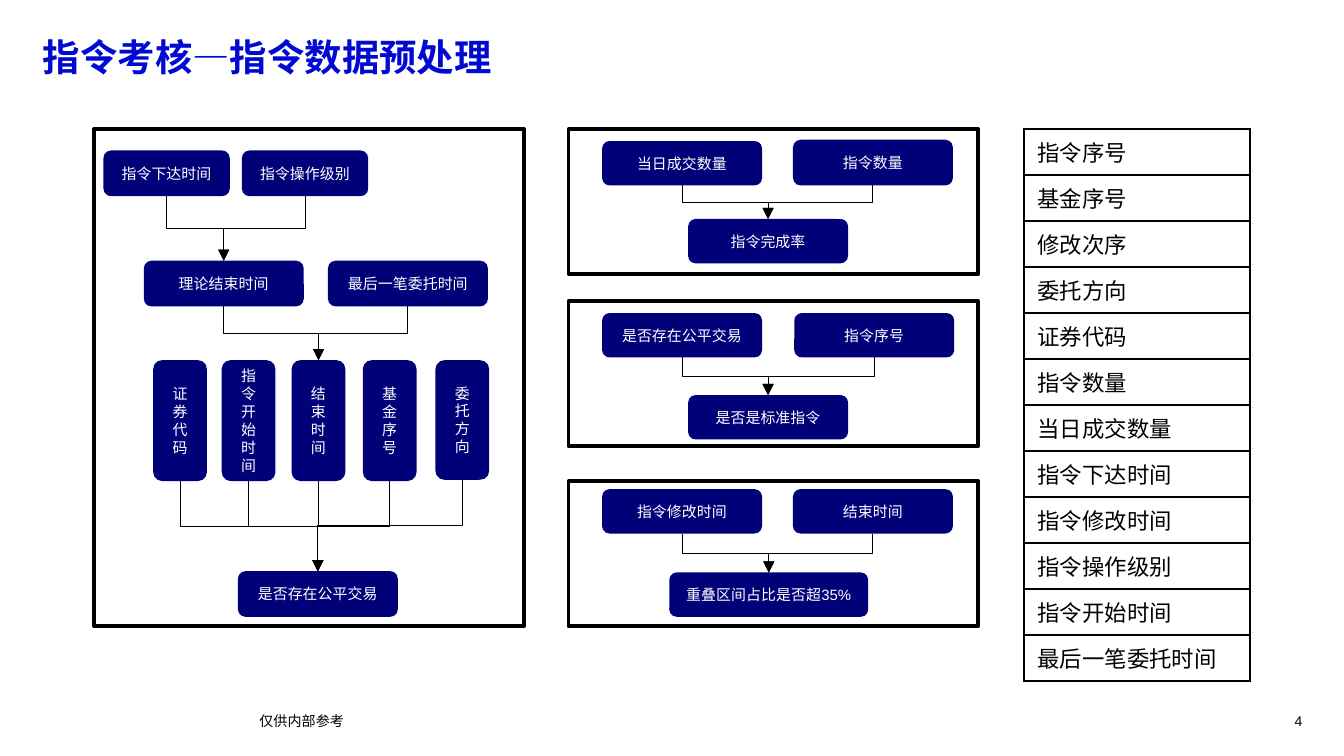
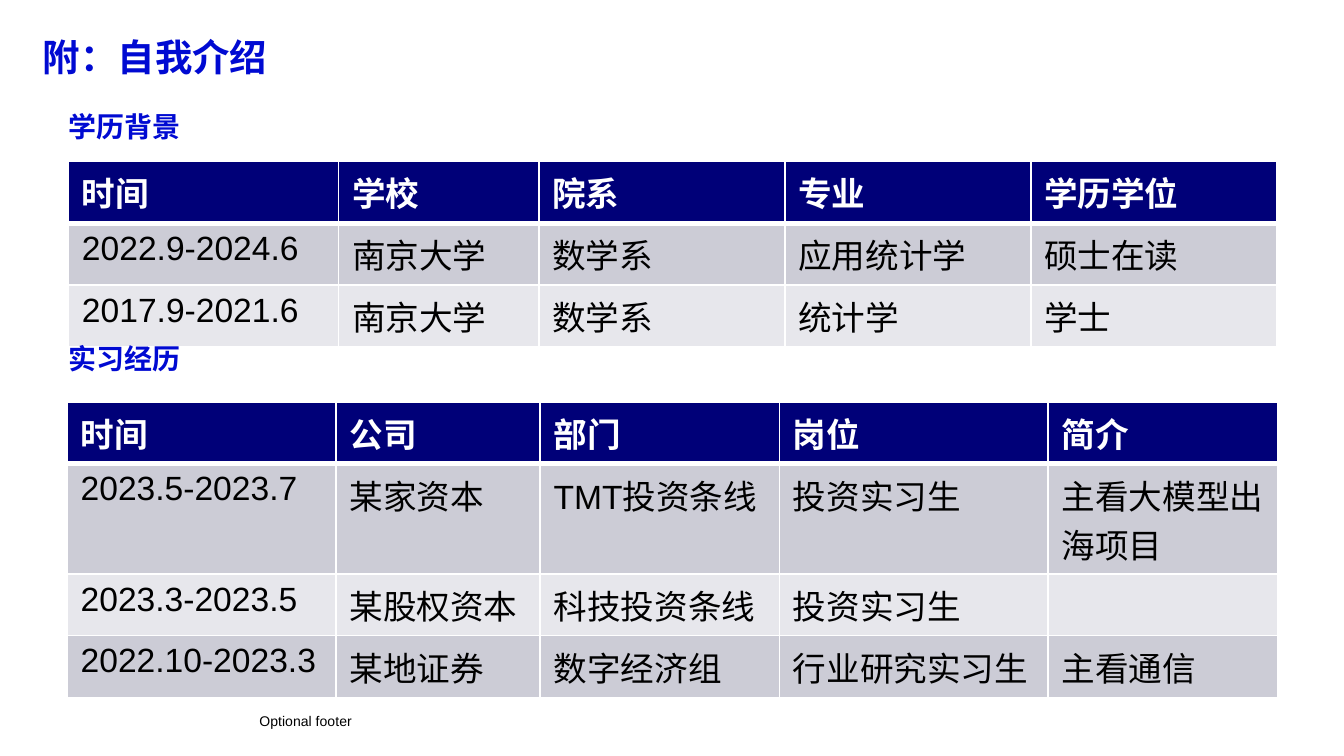
"""Build two slides: the order data preprocessing flows and a self introduction."""
from dataclasses import dataclass

from lxml import etree
from pptx import Presentation
from pptx import util as u
from pptx.dml.color import RGBColor
from pptx.enum import shapes, text
from pptx.oxml import ns


@dataclass(frozen=True)
class Theme:
    font: str = "Arial"
    black: str = "000000"
    white: str = "FFFFFF"
    blue: str = "000AD2"
    navy: str = "000078"
    bands: tuple = ("CCCCD6", "E7E7EC")
    title: float = 20
    heading: float = 15
    body: float = 18
    field: float = 12
    node: float = 8
    footer: float = 7.5


theme = Theme()


def write(frame, words, size, color, bold=False, **layout):
    """Put words in a frame; layout holds paragraph attributes."""
    frame.word_wrap = True
    paragraph = frame.paragraphs[0]
    for key, value in layout.items():
        setattr(paragraph, key, value)
    if words:
        run = paragraph.add_run()
        run.text = words
        look = {"name": theme.font, "size": u.Pt(size), "bold": bold}
        for key, value in look.items():
            setattr(run.font, key, value)
        run.font.color.rgb = RGBColor.from_string(color)


def add_grid(slide, left, top, widths, heights, rows, size, edge, header):
    """Add a bordered table; a header brings a navy first row and bands."""
    grid = slide.shapes.add_table(
        len(rows), len(widths), u.Inches(left), u.Inches(top),
        u.Inches(sum(widths)), u.Inches(sum(heights))).table
    grid.first_row = header
    grid.horz_banding = header
    for column, width in zip(grid.columns, widths):
        column.width = u.Inches(width)
    for r, row in enumerate(rows):
        grid.rows[r].height = u.Inches(heights[r])
        is_head = header and r == 0
        thick = {"lnB": header and r == 0, "lnT": header and r == 1}
        for c, words in enumerate(row):
            cell = grid.cell(r, c)
            write(cell.text_frame, words, size,
                  theme.white if is_head else theme.black, is_head)
            props = cell._tc.get_or_add_tcPr()
            for side in ("lnL", "lnR", "lnT", "lnB"):
                width = u.Pt(3 if thick.get(side) else 1)
                line = etree.SubElement(props, ns.qn(f"a:{side}"), w=str(width))
                paint = etree.SubElement(line, ns.qn("a:solidFill"))
                etree.SubElement(paint, ns.qn("a:srgbClr"), val=edge)
            if header:
                cell.fill.solid()
                cell.fill.fore_color.rgb = RGBColor.from_string(
                    theme.navy if is_head else theme.bands[(r - 1) % 2])
            else:
                cell.fill.background()


prs = Presentation()
prs.slide_width, prs.slide_height = u.Inches(10), u.Inches(10 * 9 / 16)
blank = prs.slide_layouts[6]
flow_slide, intro_slide = prs.slides.add_slide(blank), prs.slides.add_slide(blank)

title_style = {"size": theme.title, "color": theme.blue, "bold": True, "line_spacing": 0.9}
heading_style = {**title_style, "size": theme.heading}
footer_style = {"size": theme.footer, "color": theme.black}
number_style = {**footer_style, "alignment": text.PP_ALIGN.RIGHT}

panels = [
    ((4.23, 3.58, 3.05, 1.08),
     [("指令修改时间", 4.48, 3.64, 1.19, 0.33),
      ("结束时间", 5.9, 3.64, 1.19, 0.33),
      ("重叠区间占比是否超35%", 4.98, 4.26, 1.48, 0.33)],
     [(("指令修改时间", "结束时间"), "重叠区间占比是否超35%")]),
    ((4.23, 2.24, 3.05, 1.08),
     [("是否存在公平交易", 4.48, 2.33, 1.19, 0.33),
      ("指令序号", 5.91, 2.33, 1.19, 0.33),
      ("是否是标准指令", 5.12, 2.94, 1.19, 0.33)],
     [(("是否存在公平交易", "指令序号"), "是否是标准指令")]),
    ((4.23, 0.96, 3.05, 1.08),
     [("当日成交数量", 4.48, 1.05, 1.19, 0.33),
      ("指令数量", 5.9, 1.04, 1.19, 0.34),
      ("指令完成率", 5.12, 1.63, 1.19, 0.33)],
     [(("当日成交数量", "指令数量"), "指令完成率")]),
    ((0.7, 0.96, 3.2, 3.7),
     [("指令下达时间", 0.77, 1.12, 0.94, 0.34),
      ("指令操作级别", 1.8, 1.12, 0.94, 0.34),
      ("理论结束时间", 1.07, 1.94, 1.19, 0.34),
      ("最后一笔委托时间", 2.44, 1.94, 1.19, 0.34),
      ("证券代码", 1.14, 2.68, 0.4, 0.9),
      ("指令开始时间", 1.65, 2.68, 0.4, 0.9),
      ("结束时间", 2.17, 2.68, 0.4, 0.9),
      ("基金序号", 2.7, 2.68, 0.4, 0.9),
      ("委托方向", 3.24, 2.68, 0.4, 0.89),
      ("是否存在公平交易", 1.77, 4.25, 1.19, 0.34)],
     [(("指令下达时间", "指令操作级别"), "理论结束时间"),
      (("理论结束时间", "最后一笔委托时间"), "结束时间"),
      (("证券代码", "指令开始时间", "结束时间", "基金序号", "委托方向"),
       "是否存在公平交易")]),
]

for border, nodes, merges in panels:
    panel = flow_slide.shapes.add_shape(
        shapes.MSO_SHAPE.RECTANGLE, *map(u.Inches, border))
    panel.shadow.inherit = False
    panel.fill.solid()
    panel.fill.fore_color.rgb = RGBColor.from_string(theme.white)
    panel.line.color.rgb = RGBColor.from_string(theme.black)
    panel.line.width = u.Pt(2)

    places = {}
    for words, *place in nodes:
        places[words] = place
        node = flow_slide.shapes.add_shape(
            shapes.MSO_SHAPE.ROUNDED_RECTANGLE, *map(u.Inches, place))
        node.shadow.inherit = False
        node.fill.solid()
        node.fill.fore_color.rgb = RGBColor.from_string(theme.navy)
        node.line.fill.background()
        node.text_frame.vertical_anchor = text.MSO_ANCHOR.MIDDLE
        write(node.text_frame, words, theme.node, theme.white,
              alignment=text.PP_ALIGN.CENTER)

    for sources, target in merges:
        left, end_y, width, _ = places[target]
        end_x = left + width / 2
        for source in sources:
            left, top, width, height = places[source]
            start_x, start_y = left + width / 2, top + height
            mid_x, mid_y = (start_x + end_x) / 2, (start_y + end_y) / 2
            rightward = end_x > start_x
            half_run = (end_y - start_y) / 2 * (-1 if rightward else 1)
            half_span = abs(end_x - start_x) / 2
            arrow = flow_slide.shapes.add_connector(
                shapes.MSO_CONNECTOR.ELBOW,
                u.Inches(mid_x - half_run), u.Inches(mid_y - half_span),
                u.Inches(mid_x + half_run), u.Inches(mid_y + half_span))
            arrow.rotation = 270 if rightward else 90
            arrow.line.color.rgb = RGBColor.from_string(theme.black)
            arrow.line.width = u.Pt(0.5)
            etree.SubElement(arrow.line._get_or_add_ln(), ns.qn("a:tailEnd"), type="triangle")
            etree.SubElement(arrow._element.spPr, ns.qn("a:effectLst"))

fields = ["指令序号", "基金序号", "修改次序", "委托方向", "证券代码", "指令数量",
          "当日成交数量", "指令下达时间", "指令修改时间", "指令操作级别",
          "指令开始时间", "最后一笔委托时间"]
add_grid(flow_slide, 7.62, 0.96, [1.68], [0.31] * len(fields),
         [[field] for field in fields], theme.field, theme.black, False)

education = [
    ["时间", "学校", "院系", "专业", "学历学位"],
    ["2022.9-2024.6", "南京大学", "数学系", "应用统计学", "硕士在读"],
    ["2017.9-2021.6", "南京大学", "数学系", "统计学", "学士"],
]
internships = [
    ["时间", "公司", "部门", "岗位", "简介"],
    ["2023.5-2023.7", "某家资本", "TMT投资条线", "投资实习生", "主看大模型出海项目"],
    ["2023.3-2023.5", "某股权资本", "科技投资条线", "投资实习生", ""],
    ["2022.10-2023.3", "某地证券", "数字经济组", "行业研究实习生", "主看通信"],
]
add_grid(intro_slide, 0.51, 1.2, [2.01, 1.49, 1.83, 1.83, 1.83], [0.46] * 3,
         education, theme.body, theme.white, True)
add_grid(intro_slide, 0.5, 2.99, [2, 1.52, 1.78, 2, 1.71], [0.46, 0.82, 0.46, 0.46],
         internships, theme.body, theme.white, True)

title_place, footer_place = (0.32, 0.29, 9.37, 0.41), (1.93, 5.3, 3.54, 0.15)
labels = [
    (flow_slide, "指令考核—指令数据预处理", title_place, title_style),
    (flow_slide, "仅供内部参考", footer_place, footer_style),
    (flow_slide, "4", (9.3, 5.3, 0.39, 0.15), number_style),
    (intro_slide, "附：自我介绍", (0.32, 0.29, 1.97, 0.39), title_style),
    (intro_slide, "学历背景", (0.51, 0.84, 9.37, 0.39), heading_style),
    (intro_slide, "实习经历", (0.51, 2.57, 9.37, 0.39), heading_style),
    (intro_slide, "Optional footer", footer_place, footer_style),
]
for slide, words, place, style in labels:
    frame = slide.shapes.add_textbox(*map(u.Inches, place)).text_frame
    for side in ("left", "right", "top", "bottom"):
        setattr(frame, f"margin_{side}", 0)
    write(frame, words, **style)

prs.save("out.pptx")
